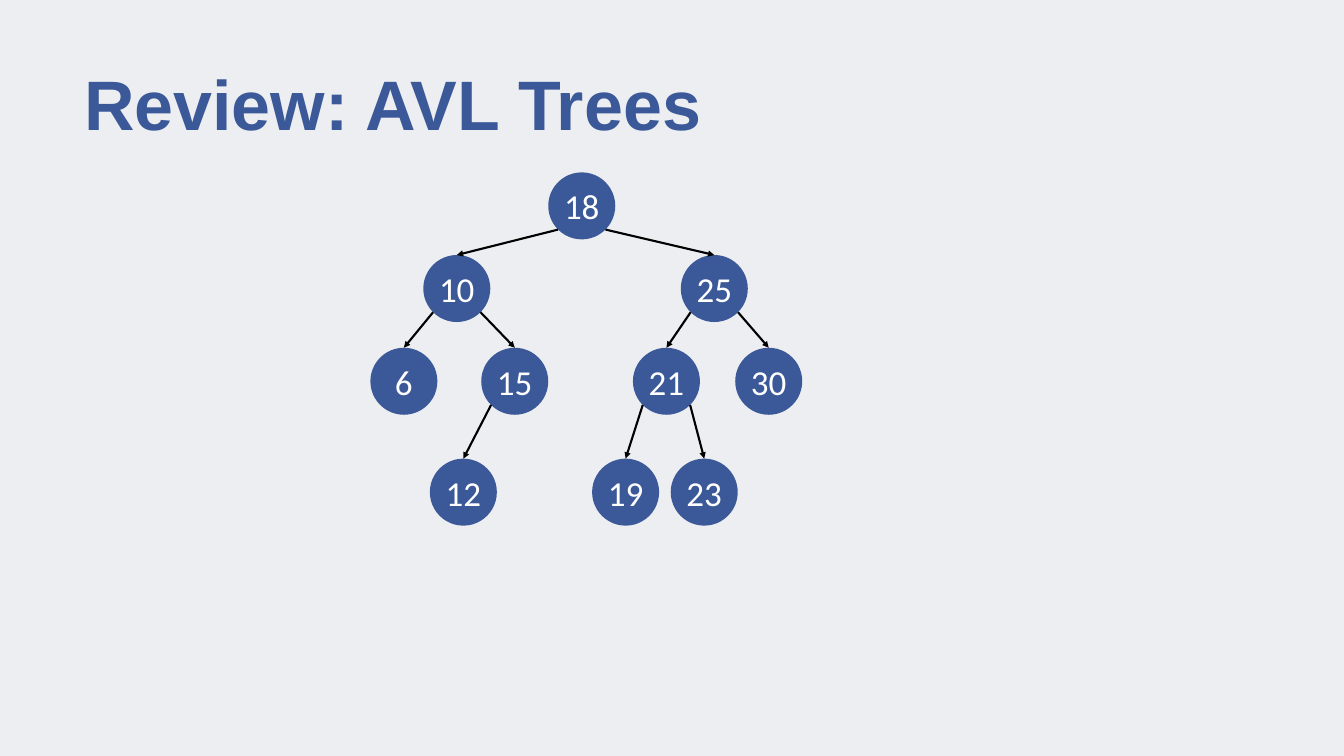
from dataclasses import dataclass
from math import sqrt

from lxml import etree
from pptx import Presentation
from pptx.dml.color import RGBColor
from pptx.enum.shapes import MSO_CONNECTOR, MSO_SHAPE
from pptx.enum.text import MSO_ANCHOR, PP_ALIGN
from pptx.oxml.ns import qn
from pptx.util import Inches, Pt

STRAIGHT = MSO_CONNECTOR.STRAIGHT
OVAL = MSO_SHAPE.OVAL
MIDDLE = MSO_ANCHOR.MIDDLE
LEFT, CENTER = PP_ALIGN.LEFT, PP_ALIGN.CENTER


@dataclass(frozen=True)
class Theme:
    background: RGBColor = RGBColor(0xED, 0xEE, 0xF1)
    blue: RGBColor = RGBColor(0x3B, 0x59, 0x98)
    white: RGBColor = RGBColor(0xFF, 0xFF, 0xFF)
    black: RGBColor = RGBColor(0x00, 0x00, 0x00)
    title_font: str = "Arial"
    node_font: str = "Calibri"
    title_size: int = 100
    node_size: int = 50
    edge_width: int = 3


THEME = Theme()
DIAMETER = 1.33
RADIUS = DIAMETER / 2
LEVEL_TOPS = (3.42, 5.06, 6.9, 9.1)

# Each key: (level, left edge in inches)
NODES = {
    18: (0, 10.88),
    10: (1, 8.4), 25: (1, 13.51),
    6: (2, 7.35), 15: (2, 9.55), 21: (2, 12.56), 30: (2, 14.59),
    12: (3, 8.53), 19: (3, 11.75), 23: (3, 13.31),
}
CHILDREN = {18: (10, 25), 10: (6, 15), 25: (21, 30), 15: (12,), 21: (19, 23)}


def write_text(shape, text, font, size, color, align, inset, bold=False):
    frame = shape.text_frame
    frame.word_wrap = True
    frame.vertical_anchor = MIDDLE
    frame.margin_left = frame.margin_right = Inches(inset)
    frame.margin_top = frame.margin_bottom = Inches(inset)
    para = frame.paragraphs[0]
    para.alignment = align
    span = para.add_run()
    span.text = text
    span.font.name = font
    span.font.size = Pt(size)
    span.font.bold = bold
    span.font.color.rgb = color
    return para


def add_title(page, text):
    box = page.shapes.add_textbox(Inches(1.67), Inches(1.14), Inches(23.33), Inches(2.01))
    para = write_text(box, text, THEME.title_font, THEME.title_size, THEME.blue,
                      LEFT, 0, bold=True)
    para.line_spacing = 0.9


def center_of(key):
    level, left = NODES[key]
    return left + RADIUS, LEVEL_TOPS[level] + RADIUS


def add_node(page, key):
    level, left = NODES[key]
    circle = page.shapes.add_shape(OVAL, Inches(left), Inches(LEVEL_TOPS[level]),
                                   Inches(DIAMETER), Inches(DIAMETER))
    circle.shadow.inherit = False
    circle.fill.solid()
    circle.fill.fore_color.rgb = THEME.blue
    circle.line.fill.background()
    write_text(circle, str(key), THEME.node_font, THEME.node_size, THEME.white, CENTER, 0.08)


def add_edge(page, parent, child):
    """Arrow from the parent's lower diagonal point to the child's top."""
    parent_x, parent_y = center_of(parent)
    child_x, child_y = center_of(child)
    diagonal = RADIUS / sqrt(2)
    side = -1 if child < parent else 1
    edge = page.shapes.add_connector(
        STRAIGHT, Inches(parent_x + side * diagonal), Inches(parent_y + diagonal),
        Inches(child_x), Inches(child_y - RADIUS))
    edge.line.color.rgb = THEME.black
    edge.line.width = Pt(THEME.edge_width)
    etree.SubElement(edge.line._get_or_add_ln(), qn("a:tailEnd"), type="triangle")
    etree.SubElement(edge._element.spPr, qn("a:effectLst"))


def main():
    deck = Presentation()
    deck.slide_width, deck.slide_height = Inches(26.67), Inches(15)
    page = deck.slides.add_slide(deck.slide_layouts[6])
    page.background.fill.solid()
    page.background.fill.fore_color.rgb = THEME.background

    add_title(page, "Review: AVL Trees")

    # Tree: circles first, then arrows
    for key in NODES:
        add_node(page, key)
    for parent, children in CHILDREN.items():
        for child in children:
            add_edge(page, parent, child)

    deck.save("out.pptx")


if __name__ == "__main__":
    main()
